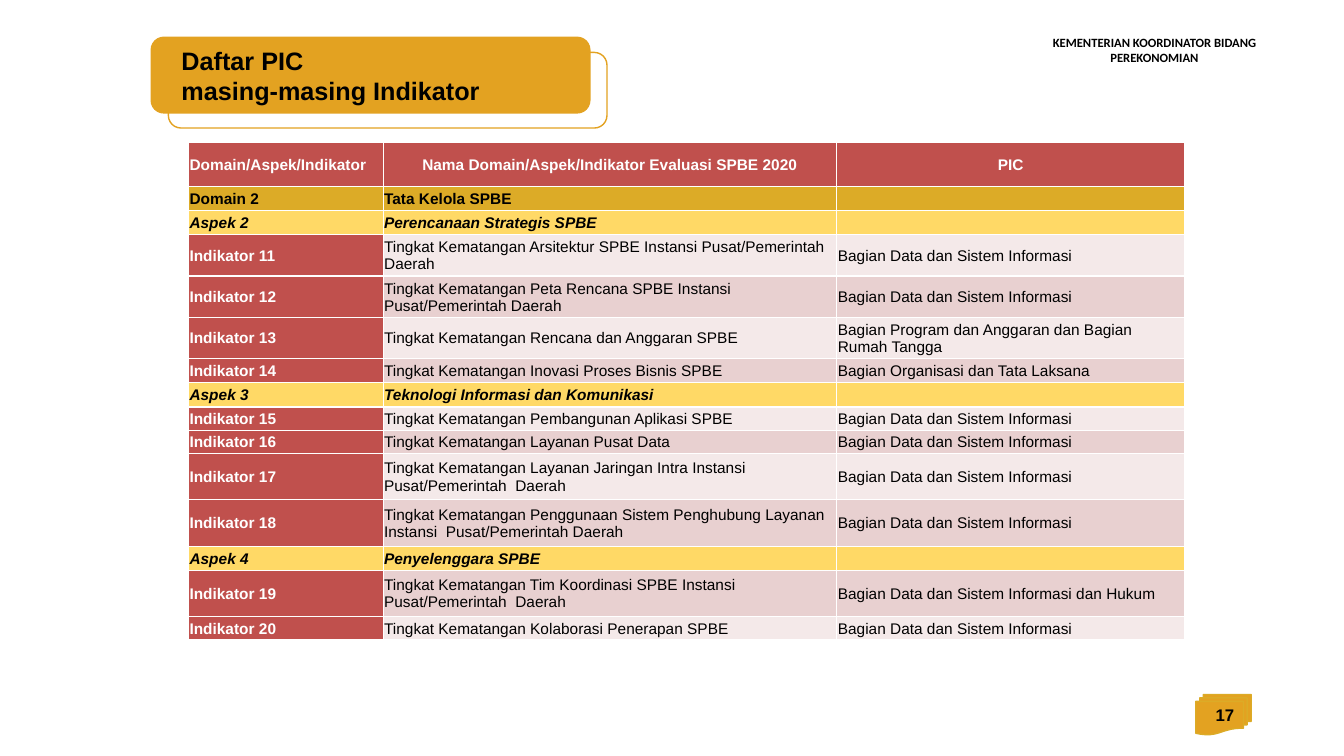
from lxml.etree import SubElement
from pptx import Presentation
from pptx.dml.color import RGBColor
from pptx.enum.shapes import MSO_SHAPE as SHAPE
from pptx.enum.text import MSO_ANCHOR as ANCHOR, MSO_AUTO_SIZE as AUTO, PP_ALIGN as ALIGN
from pptx.oxml.ns import qn
from pptx.util import Pt

PX = 9144
COLORS = {
    "black": "000000", "white": "FFFFFF", "orange": "E3A221", "gold": "DCAB27",
    "yellow": "FFD966", "red": "C0504D", "light": "F4E9E9", "pink": "E8D0D0",
}
DATA_PIC = "Bagian Data dan Sistem Informasi"
HEADER = ("Domain/Aspek/Indikator", "Nama Domain/Aspek/Indikator Evaluasi SPBE 2020", "PIC")
ROWS = [
    (44, "header", *HEADER),
    (24, "domain", "Domain 2", "Tata Kelola SPBE", ""),
    (24, "aspect", "Aspek 2", "Perencanaan Strategis SPBE", ""),
    (41, "light", "Indikator 11",
     "Tingkat Kematangan Arsitektur SPBE Instansi Pusat/Pemerintah Daerah", DATA_PIC),
    (41, "pink", "Indikator 12",
     "Tingkat Kematangan Peta Rencana SPBE Instansi Pusat/Pemerintah Daerah", DATA_PIC),
    (41, "light", "Indikator 13", "Tingkat Kematangan Rencana dan Anggaran SPBE",
     "Bagian Program dan Anggaran dan Bagian Rumah Tangga"),
    (24, "pink", "Indikator 14", "Tingkat Kematangan Inovasi Proses Bisnis SPBE",
     "Bagian Organisasi dan Tata Laksana"),
    (24, "aspect", "Aspek 3", "Teknologi Informasi dan Komunikasi", ""),
    (23, "light", "Indikator 15", "Tingkat Kematangan Pembangunan Aplikasi SPBE", DATA_PIC),
    (23, "pink", "Indikator 16", "Tingkat Kematangan Layanan Pusat Data", DATA_PIC),
    (46, "light", "Indikator 17",
     "Tingkat Kematangan Layanan Jaringan Intra Instansi Pusat/Pemerintah  Daerah", DATA_PIC),
    (46, "pink", "Indikator 18",
     "Tingkat Kematangan Penggunaan Sistem Penghubung Layanan Instansi  Pusat/Pemerintah Daerah",
     DATA_PIC),
    (24, "aspect", "Aspek 4", "Penyelenggara SPBE", ""),
    (46, "pink", "Indikator 19",
     "Tingkat Kematangan Tim Koordinasi SPBE Instansi Pusat/Pemerintah  Daerah",
     "Bagian Data dan Sistem Informasi dan Hukum"),
    (23, "light", "Indikator 20", "Tingkat Kematangan Kolaborasi Penerapan SPBE", DATA_PIC),
]
COLUMNS = (193, 450, 345)
ROW_FILLS = {"header": "red", "domain": "gold", "aspect": "yellow"}


def rgb(name):
    return RGBColor.from_string(COLORS[name])


def emu(*lengths):
    return [n * PX for n in lengths]


def write(tf, text, size, color="black", bold=True, italic=False, align=ALIGN.LEFT, font="Arial"):
    tf.text = text
    for p in tf.paragraphs:
        p.alignment = align
        for r in p.runs:
            r.font.name, r.font.size = font, Pt(size)
            r.font.bold, r.font.italic = bold, italic
            r.font.color.rgb = rgb(color)


def add_shape(s, kind, box, fill, line):
    sp = s.shapes.add_shape(kind, *emu(*box))
    sp.shadow.inherit = False
    if fill:
        sp.fill.solid()
        sp.fill.fore_color.rgb = rgb(fill)
    else:
        sp.fill.background()
    sp.line.color.rgb = rgb(line)
    sp.line.width = Pt(1)


def add_label(s, box, text, size, align, font="Arial", anchor=ANCHOR.TOP):
    tf = s.shapes.add_textbox(*emu(*box)).text_frame
    tf.word_wrap = True
    tf.vertical_anchor = anchor
    write(tf, text, size, align=align, font=font)


def add_title(s, x, y, w, h):
    add_shape(s, SHAPE.ROUNDED_RECTANGLE, (x + 17, y + 15, w, h), None, "orange")
    add_shape(s, SHAPE.ROUNDED_RECTANGLE, (x, y, w, h), "orange", "orange")
    title = s.shapes.title
    title.left, title.top, title.width, title.height = emu(x + 20, y + 3, 319, 71)
    s.shapes._spTree.append(title._element)
    tf = title.text_frame
    tf.word_wrap = False
    tf.auto_size = AUTO.NONE
    tf.vertical_anchor = ANCHOR.TOP
    write(tf, "Daftar PIC\nmasing-masing Indikator", 18)


def add_borders(cell, bottom):
    tcPr = cell._tc.get_or_add_tcPr()
    for i, (side, width) in enumerate(zip("LRTB", (1, 1, 1, bottom))):
        ln = SubElement(tcPr, qn(f"a:ln{side}"), w=str(Pt(width)))
        SubElement(SubElement(ln, qn("a:solidFill")), qn("a:srgbClr"), val=COLORS["white"])
        tcPr.insert(i, ln)


def format_cell(cell, text, kind, col, bottom):
    indicator = kind not in ROW_FILLS
    label = indicator and col == 0
    cell.fill.solid()
    cell.fill.fore_color.rgb = rgb("red" if label else ROW_FILLS.get(kind, kind))
    cell.vertical_anchor = ANCHOR.MIDDLE
    cell.margin_left = cell.margin_right = cell.margin_top = PX
    cell.margin_bottom = 0
    add_borders(cell, bottom)
    if text:
        write(cell.text_frame, text, 11,
              color="white" if label or kind == "header" else "black",
              bold=label or not indicator, italic=kind == "aspect",
              align=ALIGN.CENTER if kind == "header" and col else ALIGN.LEFT)
    else:
        SubElement(cell.text_frame.paragraphs[0]._p, qn("a:endParaRPr"), sz="1100")


def add_pic_table(s, x, y):
    height = sum(row[0] for row in ROWS)
    table = s.shapes.add_table(len(ROWS), len(COLUMNS),
                               *emu(x, y, sum(COLUMNS), height)).table
    table.horz_banding = False
    for column, width in zip(table.columns, COLUMNS):
        column.width = width * PX
    for i, (h, kind, *texts) in enumerate(ROWS):
        table.rows[i].height = h * PX
        bottom = 1.5 if i == len(ROWS) - 1 else 1
        for col, text in enumerate(texts):
            format_cell(table.cell(i, col), text, kind, col, bottom)


def add_page_number(s, x, y, w, h):
    add_shape(s, SHAPE.FLOWCHART_MULTIDOCUMENT, (x, y, w, h), "orange", "gold")
    add_label(s, (x - 252, y, 300, h), "17", 12, ALIGN.RIGHT, anchor=ANCHOR.MIDDLE)


def main():
    prs = Presentation()
    prs.slide_width, prs.slide_height = emu(1333, 750)
    s = prs.slides.add_slide(prs.slide_layouts[5])
    add_label(s, (1003, 30, 284, 51), "KEMENTERIAN KOORDINATOR BIDANG PEREKONOMIAN",
              9, ALIGN.CENTER, font="Calibri")
    add_title(s, 150, 37, 435, 75)
    add_pic_table(s, 187, 141)
    add_page_number(s, 1186, 689, 55, 40)
    prs.save("out.pptx")


if __name__ == "__main__":
    main()
